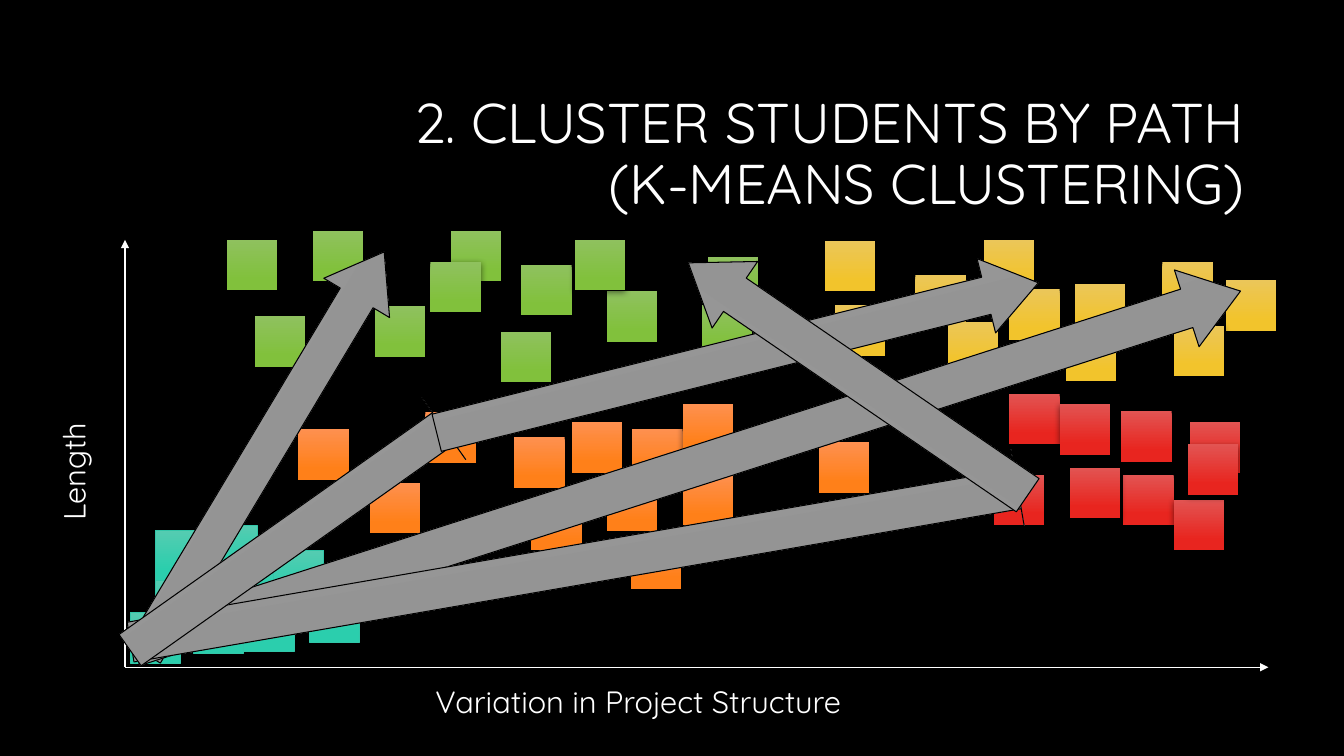
from dataclasses import dataclass

from lxml import etree
from pptx import Presentation
from pptx.dml.color import RGBColor
from pptx.enum.shapes import MSO_CONNECTOR, MSO_SHAPE
from pptx.enum.text import MSO_ANCHOR, PP_ALIGN
from pptx.oxml.ns import qn
from pptx.shapes.autoshape import Shape
from pptx.slide import Slide
from pptx.util import Emu, Pt

EMU_PER_PX = 9144  # 100 px to the inch
RECTANGLE = MSO_SHAPE.RECTANGLE
RIGHT_ARROW = MSO_SHAPE.RIGHT_ARROW
STRAIGHT = MSO_CONNECTOR.STRAIGHT
LEFT, RIGHT = PP_ALIGN.LEFT, PP_ALIGN.RIGHT
TOP, MIDDLE = MSO_ANCHOR.TOP, MSO_ANCHOR.MIDDLE

Stops = tuple[tuple[int, str], ...]


@dataclass(frozen=True)
class Theme:
    font: str = "Quicksand"
    title_size: int = 40
    label_size: int = 22
    background: str = "000000"
    foreground: str = "FFFFFF"
    outline: str = "000000"
    shadow: str = "000000"
    teal_outline: str = "32C7A9"
    teal: Stops = ((0, "55CCB1"), (78, "2BCEAD"))
    orange: Stops = ((0, "FE904F"), (78, "FF8019"))
    red: Stops = ((0, "E25452"), (78, "E8251F"))
    green: Stops = ((0, "8FC15E"), (78, "81C13C"))
    yellow: Stops = ((0, "EBC659"), (78, "F2C42C"))
    grey: Stops = ((0, "A9A9A9"), (52, "949494"), (100, "848484"))


THEME = Theme()
SLIDE_WIDTH, SLIDE_HEIGHT = 1333, 750
STUDENT_SIZE = 50
ORIGIN = (124, 662)
AXIS_ENDS = ((1258, 662), (124, 238))


@dataclass(frozen=True)
class Cluster:
    """Students of one cluster, each given by the left and top of its square."""
    stops: Stops
    students: tuple[tuple[int, int], ...]
    outline: str | None = None


@dataclass(frozen=True)
class PathArrow:
    left: int
    top: int
    width: int
    height: int
    rotation: float
    head: float = 0.7


@dataclass(frozen=True)
class Label:
    text: str
    left: int
    top: int
    width: int
    height: int
    size: int = THEME.label_size
    rotation: int = 0
    align: PP_ALIGN = LEFT
    anchor: MSO_ANCHOR = TOP
    line_spacing: float = 1.0


CLUSTERS = (
    Cluster(THEME.teal, (
        (175, 596), (154, 526), (242, 596), (307, 587), (225, 546), (175, 576),
        (271, 546), (205, 521), (154, 576), (129, 608), (192, 598),
    ), THEME.teal_outline),
    Cluster(THEME.orange, (
        (510, 434), (527, 496), (602, 477), (626, 534), (296, 426), (627, 426),
        (567, 419), (422, 409), (677, 401), (367, 479), (677, 471), (812, 439),
    )),
    Cluster(THEME.red, (
        (1001, 391), (1112, 408), (1114, 471), (1180, 419), (1061, 464),
        (986, 471), (1051, 401), (1164, 496), (1178, 441),
    )),
    Cluster(THEME.green, (
        (225, 238), (447, 229), (517, 263), (310, 229), (372, 304), (497, 329),
        (602, 289), (570, 238), (253, 314), (696, 303), (427, 260), (702, 255),
    )),
    Cluster(THEME.yellow, (
        (976, 238), (828, 303), (1057, 328), (1153, 260), (1216, 278), (908, 273),
        (1164, 323), (818, 239), (1066, 282), (940, 319), (1001, 287),
    )),
)

PATH_ARROWS = (
    PathArrow(30, 411, 464, 76, 300.9),
    PathArrow(105, 425, 1153, 80, 342.2),
    PathArrow(123, 521, 893, 80, 350.2, head=0),
    PathArrow(94, 497, 381, 76, 324.7, head=0),
    PathArrow(424, 317, 615, 76, 346),
    PathArrow(647, 336, 408, 80, 214.4),
)

LABELS = (
    Label("2. CLUSTER STUDENTS BY PATH \v(K-MEANS CLUSTERING) ", 317, 84, 942, 141,
          THEME.title_size, align=RIGHT, anchor=MIDDLE, line_spacing=0.9),
    Label("Variation in Project Structure", 422, 672, 466, 47),
    Label("Length", -9, 421, 164, 47, rotation=270),
)


def px(length: int) -> Emu:
    return Emu(length * EMU_PER_PX)


def rgb(colour: str) -> RGBColor:
    return RGBColor.from_string(colour)


def add_colour(parent: etree._Element, colour: str) -> etree._Element:
    return etree.SubElement(parent, qn("a:srgbClr"), val=colour)


def fill_downwards(shape: Shape, stops: Stops) -> None:
    """Fill with a gradient running from top to bottom."""
    shape.fill.gradient()
    shape.fill.gradient_angle = 270
    stop_list = shape._element.spPr.find(".//" + qn("a:gsLst"))
    for stop in list(stop_list):
        stop_list.remove(stop)
    for percent, colour in stops:
        add_colour(etree.SubElement(stop_list, qn("a:gs"), pos=str(percent * 1000)), colour)


def set_outline(shape: Shape, colour: str) -> None:
    shape.line.color.rgb = rgb(colour)
    shape.line.width = Pt(0.75)


def add_shadow(shape: Shape) -> None:
    effects = shape._element.spPr.find(qn("a:effectLst"))
    shadow = etree.SubElement(effects, qn("a:outerShdw"), blurRad=str(Pt(4.5)),
                              dist=str(Pt(1.5)), dir="5400000", rotWithShape="0")
    etree.SubElement(add_colour(shadow, THEME.shadow), qn("a:alpha"), val="48000")


def add_label(page: Slide, label: Label) -> None:
    box = page.shapes.add_textbox(px(label.left), px(label.top), px(label.width), px(label.height))
    box.rotation = label.rotation
    frame = box.text_frame
    frame.word_wrap = True
    frame.vertical_anchor = label.anchor
    frame.text = label.text
    para = frame.paragraphs[0]
    para.alignment = label.align
    para.line_spacing = label.line_spacing
    for span in para.runs:
        span.font.name = THEME.font
        span.font.size = Pt(label.size)
        span.font.color.rgb = rgb(THEME.foreground)


def add_axis(page: Slide, end: tuple[int, int]) -> None:
    axis = page.shapes.add_connector(STRAIGHT, *map(px, ORIGIN + end))
    axis.line.color.rgb = rgb(THEME.foreground)
    axis.line.width = Pt(1)
    etree.SubElement(axis.line._get_or_add_ln(), qn("a:tailEnd"), type="triangle")
    etree.SubElement(axis._element.spPr, qn("a:effectLst"))


def add_cluster(page: Slide, cluster: Cluster) -> None:
    for left, top in cluster.students:
        student = page.shapes.add_shape(
            RECTANGLE, px(left), px(top), px(STUDENT_SIZE), px(STUDENT_SIZE))
        fill_downwards(student, cluster.stops)
        student.shadow.inherit = False
        if cluster.outline:
            set_outline(student, cluster.outline)
        else:
            student.line.fill.background()
            add_shadow(student)


def add_path_arrow(page: Slide, arrow: PathArrow) -> None:
    shape = page.shapes.add_shape(
        RIGHT_ARROW, px(arrow.left), px(arrow.top), px(arrow.width), px(arrow.height))
    shape.rotation = arrow.rotation
    shape.adjustments[0] = 0.5
    shape.adjustments[1] = arrow.head
    fill_downwards(shape, THEME.grey)
    set_outline(shape, THEME.outline)
    shape.shadow.inherit = False


def main() -> None:
    deck = Presentation()
    deck.slide_width, deck.slide_height = px(SLIDE_WIDTH), px(SLIDE_HEIGHT)
    page = deck.slides.add_slide(deck.slide_layouts[6])
    page.background.fill.solid()
    page.background.fill.fore_color.rgb = rgb(THEME.background)
    for label in LABELS:
        add_label(page, label)
    for end in AXIS_ENDS:
        add_axis(page, end)
    for cluster in CLUSTERS:
        add_cluster(page, cluster)
    for arrow in PATH_ARROWS:
        add_path_arrow(page, arrow)
    deck.save("out.pptx")


if __name__ == "__main__":
    main()
